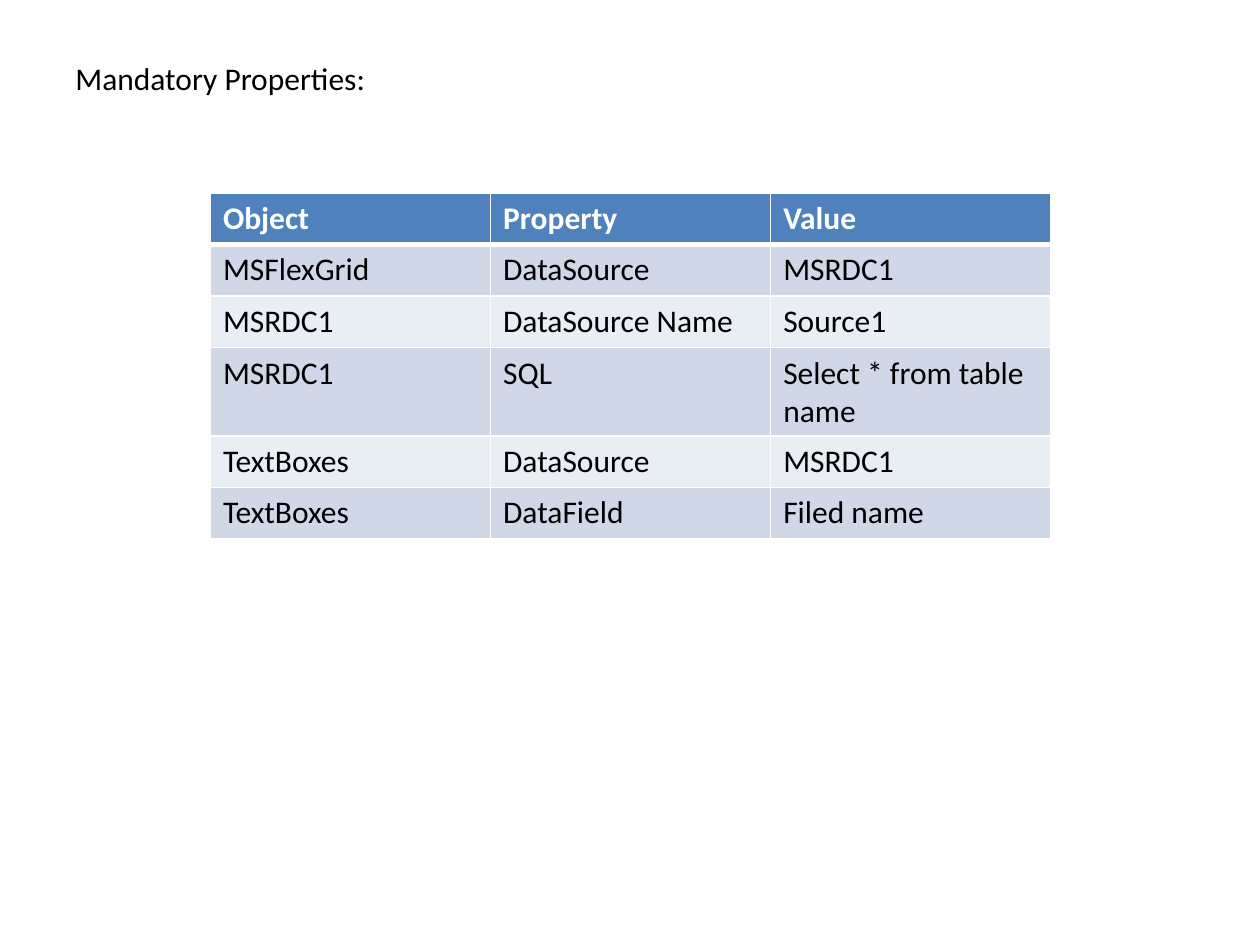
from dataclasses import dataclass

from lxml.etree import SubElement
from pptx import Presentation
from pptx.dml.color import RGBColor as RGB
from pptx.oxml.ns import qn
from pptx.util import Inches, Pt


@dataclass(frozen=True)
class Theme:
    font: str = "Calibri"
    size: int = 18
    text: str = "000000"
    header_text: str = "FFFFFF"
    header_fill: str = "4F81BD"
    bands: tuple = ("D0D8E8", "E9EDF4")
    border: str = "FFFFFF"
    thin: int = 1
    thick: int = 3


THEME = Theme()

ROWS = [
    ("Object", "Property", "Value"),
    ("MSFlexGrid", "DataSource", "MSRDC1"),
    ("MSRDC1", "DataSource Name", "Source1"),
    ("MSRDC1", "SQL", "Select * from table name"),
    ("TextBoxes", "DataSource", "MSRDC1"),
    ("TextBoxes", "DataField", "Filed name"),
]


def style_paragraph(paragraph, color, bold=False):
    font = paragraph.font
    font.name = THEME.font
    font.size = Pt(THEME.size)
    font.bold = bold
    font.color.rgb = RGB.from_string(color)


def add_heading(slide, text):
    box = slide.shapes.add_textbox(Inches(0.5), Inches(0.42), Inches(6.92), Inches(1.01))
    box.text_frame.word_wrap = True
    paragraph = box.text_frame.paragraphs[0]
    paragraph.text = text
    style_paragraph(paragraph, THEME.text)


def set_borders(cell, top, bottom):
    """Draw the four cell edges; they must precede the fill in the XML."""
    properties = cell._tc.get_or_add_tcPr()
    widths = {"lnL": THEME.thin, "lnR": THEME.thin, "lnT": top, "lnB": bottom}
    for edge, width in widths.items():
        line = SubElement(properties, qn(f"a:{edge}"), w=str(Pt(width)))
        fill = SubElement(line, qn("a:solidFill"))
        SubElement(fill, qn("a:srgbClr"), val=THEME.border)


def fill_cell(cell, text, row):
    is_header = row == 0
    set_borders(
        cell,
        top=THEME.thick if row == 1 else THEME.thin,
        bottom=THEME.thick if is_header else THEME.thin,
    )
    band = THEME.bands[(row - 1) % len(THEME.bands)]
    cell.fill.solid()
    cell.fill.fore_color.rgb = RGB.from_string(THEME.header_fill if is_header else band)
    cell.text = text
    color = THEME.header_text if is_header else THEME.text
    style_paragraph(cell.text_frame.paragraphs[0], color, bold=is_header)


def add_property_table(slide, rows):
    row_height = Inches(0.41)
    frame = slide.shapes.add_table(
        len(rows), len(rows[0]),
        Inches(1.67), Inches(1.53), Inches(6.67), row_height * len(rows),
    )
    for row, values in enumerate(rows):
        for column, text in enumerate(values):
            fill_cell(frame.table.cell(row, column), text, row)


def main():
    presentation = Presentation()
    presentation.slide_width = Inches(10)
    presentation.slide_height = Inches(7.5)
    slide = presentation.slides.add_slide(presentation.slide_layouts[6])

    # Heading above the table
    add_heading(slide, "Mandatory Properties:")

    # Properties of each object
    add_property_table(slide, ROWS)

    presentation.save("out.pptx")


if __name__ == "__main__":
    main()
